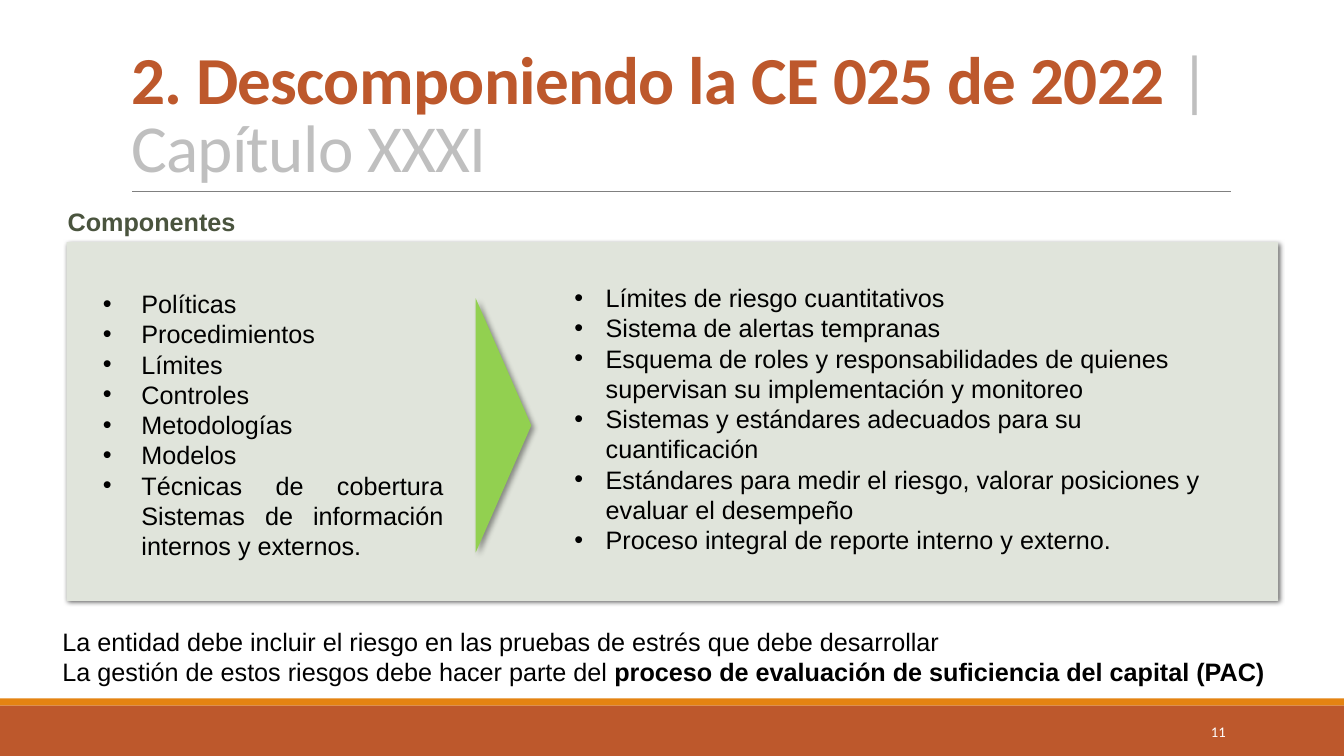
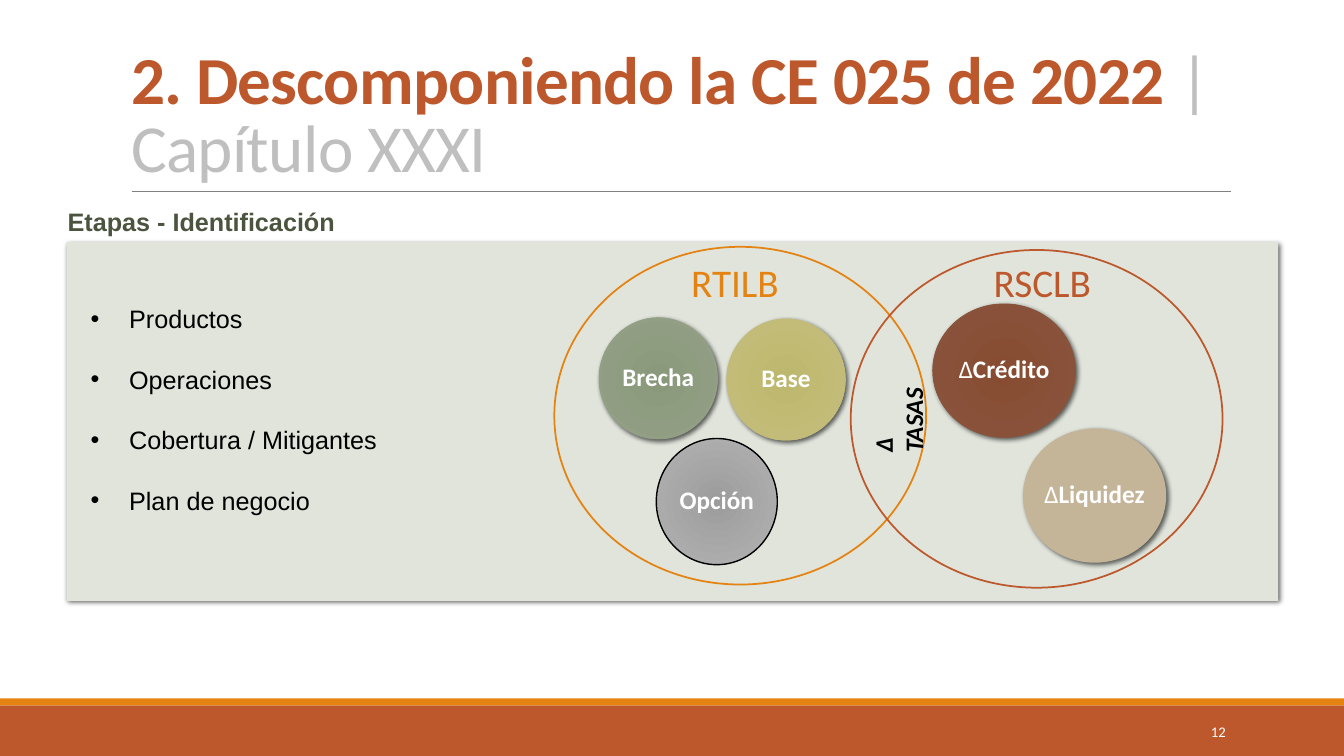
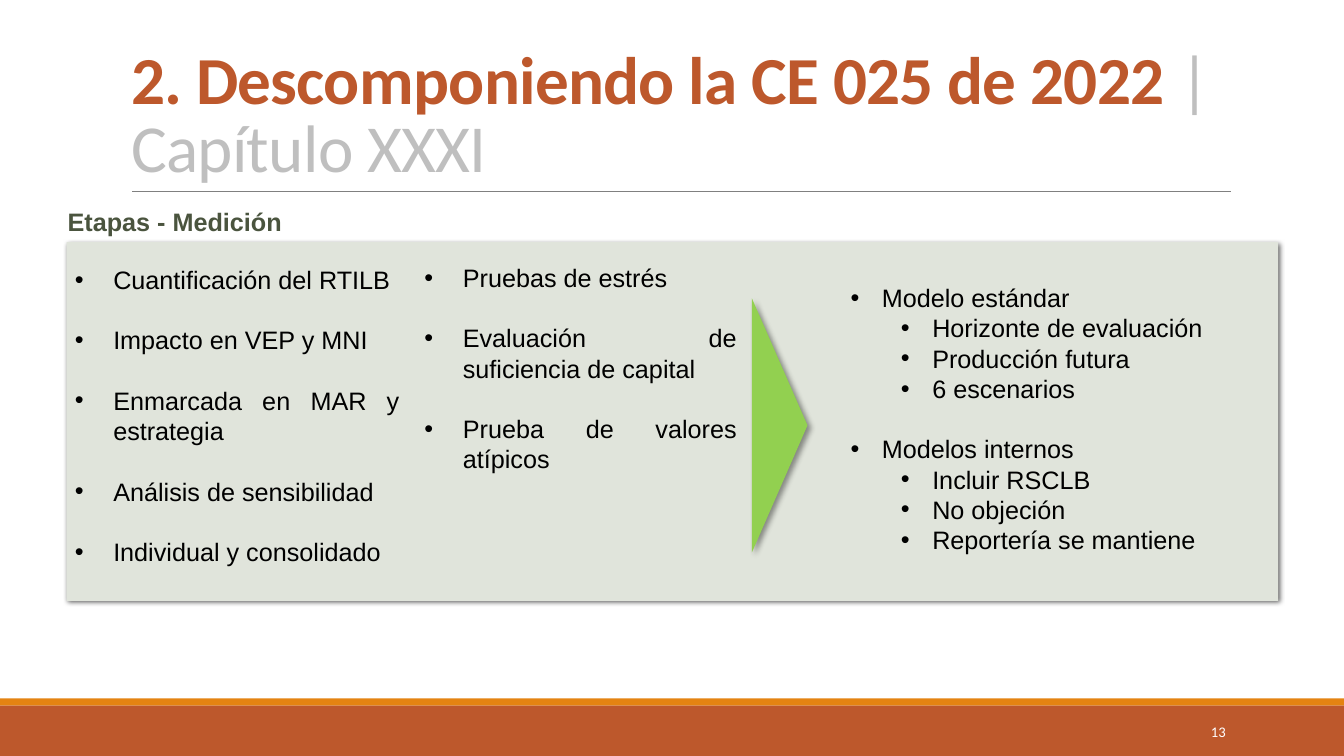
from lxml.etree import SubElement
from pptx import Presentation
from pptx.dml.color import RGBColor
from pptx.enum.shapes import MSO_CONNECTOR, MSO_SHAPE
from pptx.enum.text import MSO_ANCHOR, MSO_AUTO_SIZE, PP_ALIGN
from pptx.oxml import parse_xml
from pptx.oxml.ns import nsdecls, qn
from pptx.util import Cm, Pt

COLORS = {
    "rust": "BD582C",
    "orange": "E48312",
    "rule": "808080",
    "subtitle": "BFBFBF",
    "panel": "E0E4DB",
    "heading": "4A543E",
    "arrow": "92D050",
    "black": "000000",
    "white": "FFFFFF",
    "sage": "8A987B",
    "sage_edge": "94A187",
    "olive": "BEB76E",
    "olive_edge": "C5BF7D",
    "gray": "9C9C9C",
    "gray_edge": "B4B4B4",
    "brown": "874C32",
    "brown_edge": "8A553D",
    "sand": "C5B598",
}
LINE = Pt(21.6)
HEADING, FIRST_LIST, SECOND_LIST, THIRD_LIST = 1, 2, 3, 4


def color(name):
    """Return the named colour."""
    return RGBColor.from_string(COLORS[name])


def place(shape, left, top, width, height):
    """Set position and size in centimetres."""
    shape.left, shape.top = Cm(left), Cm(top)
    shape.width, shape.height = Cm(width), Cm(height)


def format_run(run, size, color_name, font="Arial", bold=False):
    """Format one run of text."""
    run.font.size = Pt(size)
    run.font.name = font
    run.font.bold = bold
    run.font.color.rgb = color(color_name)


def add_shadow(shape, alpha, blur, distance):
    """Give a shape a soft shadow towards the lower right."""
    shape.element.spPr.append(parse_xml(
        f'<a:effectLst {nsdecls("a")}><a:outerShdw blurRad="{Pt(blur)}" dist="{Pt(distance)}" '
        f'dir="2700000" algn="tl" rotWithShape="0"><a:srgbClr val="{COLORS["black"]}">'
        f'<a:alpha val="{alpha * 1000}"/></a:srgbClr></a:outerShdw></a:effectLst>'))


def add_box(slide, kind, bounds, fill=None, line=None, line_width=1.25, shadow=None):
    """Add a preset shape with the given fill, line and shadow."""
    shape = slide.shapes.add_shape(kind, *map(Cm, bounds))
    if fill:
        shape.fill.solid()
        shape.fill.fore_color.rgb = color(fill)
    else:
        shape.fill.background()
    if line:
        shape.line.color.rgb = color(line)
        shape.line.width = Pt(line_width)
    else:
        shape.line.fill.background()
    if shadow:
        add_shadow(shape, *shadow)
    else:
        shape.shadow.inherit = False
    return shape


def add_label(slide, bounds, text, size, color_name, bold=False):
    """Add a Calibri text box with one run."""
    box = slide.shapes.add_textbox(*map(Cm, bounds))
    box.text_frame.word_wrap = True
    paragraph = box.text_frame.paragraphs[0]
    paragraph.text = text
    format_run(paragraph.runs[0], size, color_name, "Calibri", bold)
    return box


def decorate_layout(layout, slide):
    """Put the shared bands, rule, panel and placeholder positions on the layout."""
    for placeholder in list(layout.placeholders):
        if placeholder.placeholder_format.idx >= 10:
            layout.shapes.element.remove(placeholder.element)
    place(layout.placeholders[0], 3.05, 0.79, 27.94, 4.04)
    place(layout.placeholders[1], 1.45, 5.08, 10, 1.02)
    rule = slide.shapes.add_connector(
        MSO_CONNECTOR.STRAIGHT, Cm(3.33), Cm(4.83), Cm(31.01), Cm(4.83))
    rule.line.color.rgb = color("rule")
    rule.line.width = Pt(0.5)
    SubElement(rule.element.spPr, qn("a:effectLst"))
    shared = [
        add_box(slide, MSO_SHAPE.RECTANGLE, (0, 17.78, 33.87, 1.27), "rust"),
        add_box(slide, MSO_SHAPE.RECTANGLE, (0, 17.6, 33.87, 0.18), "orange"),
        add_box(slide, MSO_SHAPE.RECTANGLE, (1.68, 6.1, 30.53, 9.04), "panel",
                shadow=(60, 3.5, 2)),
        rule,
    ]
    for shape in shared:
        layout.shapes.element.insert(2, shape.element)


def prepare_frame(shape, anchor=MSO_ANCHOR.TOP):
    """Return the text frame of a placeholder with wrapping and anchor set."""
    frame = shape.text_frame
    frame.auto_size = MSO_AUTO_SIZE.NONE
    frame.word_wrap = True
    frame.vertical_anchor = anchor
    return frame


def fill_header(slide, heading, number):
    """Write the title, the section heading and the slide number."""
    paragraph = prepare_frame(slide.shapes.title, MSO_ANCHOR.BOTTOM).paragraphs[0]
    paragraph.alignment = PP_ALIGN.LEFT
    paragraph.line_spacing = 0.85
    for text, color_name, bold in (("2. Descomponiendo la CE 025 de 2022 ", "rust", True),
                                   ("|Capítulo XXXI", "subtitle", False)):
        run = paragraph.add_run()
        run.text = text
        format_run(run, 48, color_name, "Calibri", bold)
        run.font._element.set("spc", "-50")
    write_paragraphs(slide.placeholders[HEADING], [[(heading, True)]], "heading")
    page = add_label(slide, (27.51, 17.93, 3.63, 1.02), str(number), 10.5, "white")
    page.text_frame.vertical_anchor = MSO_ANCHOR.MIDDLE
    page.text_frame.paragraphs[0].alignment = PP_ALIGN.RIGHT


def set_bullet(paragraph, margin, hanging):
    """Set the indent of a paragraph, with a bullet if it hangs."""
    properties = paragraph._p.get_or_add_pPr()
    properties.set("marL", str(Cm(margin)))
    properties.set("indent", str(-Cm(hanging)))
    if hanging:
        SubElement(properties, qn("a:buFont")).set("typeface", "Arial")
        SubElement(properties, qn("a:buChar")).set("char", "•")
    else:
        SubElement(properties, qn("a:buNone"))


def next_paragraph(frame, index):
    """Return the first paragraph or a new one, with the common line height."""
    paragraph = frame.add_paragraph() if index else frame.paragraphs[0]
    paragraph.line_spacing = LINE
    paragraph.space_before = Pt(0)
    paragraph.space_after = Pt(0)
    return paragraph


def write_paragraphs(shape, lines, color_name="black"):
    """Write plain lines, each a list of text and bold pairs."""
    frame = prepare_frame(shape)
    for index, pieces in enumerate(lines):
        paragraph = next_paragraph(frame, index)
        paragraph.alignment = PP_ALIGN.LEFT
        set_bullet(paragraph, 0, 0)
        for text, bold in pieces:
            run = paragraph.add_run()
            run.text = text
            format_run(run, 18, color_name, bold=bold)


def fill_list(slide, index, bounds, items, hanging=0.97, justified=True, spaced=False):
    """Write a bulleted list of texts, or of groups of a text and its subitems."""
    shape = slide.placeholders[index]
    place(shape, *bounds)
    frame = prepare_frame(shape)
    entries = []
    for item in items:
        head, *subitems = [item] if isinstance(item, str) else item
        entries += [(head, 0)] + [(subitem, 1) for subitem in subitems]
    for position, (text, level) in enumerate(entries):
        paragraph = next_paragraph(frame, position)
        paragraph.text = text
        paragraph.level = level
        paragraph.alignment = PP_ALIGN.JUSTIFY if justified else PP_ALIGN.LEFT
        if spaced and position and level == 0:
            paragraph.space_before = LINE
        set_bullet(paragraph, hanging + 1.27 * level, hanging)
        format_run(paragraph.runs[0], 18, "black")


def add_arrow(slide, left):
    """Add the green arrowhead between two lists."""
    arrow = add_box(slide, MSO_SHAPE.RIGHT_ARROW, (left, 7.52, 1.4, 6.4), "arrow",
                    shadow=(40, 4, 3))
    arrow.adjustments[0] = arrow.adjustments[1] = 1


def set_radial_fill(shape, center, edge):
    """Replace the fill by a gradient from the centre to the edge."""
    properties = shape.element.spPr
    solid = properties.find(qn("a:solidFill"))
    properties.replace(solid, parse_xml(
        f'<a:gradFill {nsdecls("a")} rotWithShape="1"><a:gsLst>'
        f'<a:gs pos="0"><a:srgbClr val="{COLORS[center]}"/></a:gs>'
        f'<a:gs pos="100000"><a:srgbClr val="{COLORS[edge]}"/></a:gs></a:gsLst>'
        '<a:path path="circle"><a:fillToRect l="50000" t="50000" r="50000" b="50000"/></a:path>'
        '</a:gradFill>'))


def add_risk(slide, bounds, pieces, fill, edge=None, line=None):
    """Add a filled circle that names one risk."""
    circle = add_box(slide, MSO_SHAPE.OVAL, bounds, fill, line, 1,
                     None if line else (60, 3.5, 2))
    if edge:
        set_radial_fill(circle, fill, edge)
    frame = circle.text_frame
    frame.word_wrap = False
    frame.vertical_anchor = MSO_ANCHOR.MIDDLE
    frame.margin_left = frame.margin_right = frame.margin_top = frame.margin_bottom = 0
    paragraph = frame.paragraphs[0]
    paragraph.alignment = PP_ALIGN.CENTER
    paragraph.line_spacing = 0.9
    for text, bold in pieces:
        run = paragraph.add_run()
        run.text = text
        format_run(run, 18, "white", "Calibri", bold)


def add_risk_diagram(slide):
    """Draw the two overlapping risk families and their risks."""
    add_risk(slide, (15.09, 8, 3, 3.07), [("Brecha", True)], "sage", "sage_edge")
    add_risk(slide, (18.31, 8.03, 3, 3.07), [("Base", True)], "olive", "olive_edge")
    add_risk(slide, (16.54, 11.05, 3.05, 3.18), [("Opción", True)], "gray", "gray_edge", "black")
    for left, top, label_left, text, color_name in ((13.97, 6.22, 17.17, "RTILB", "orange"),
                                                    (21.44, 6.3, 24.79, "RSCLB", "rust")):
        add_box(slide, MSO_SHAPE.OVAL, (left, top, 9.37, 8.51), line=color_name)
        add_label(slide, (label_left, 6.38, 3, 1.45), text, 28, color_name)
    add_risk(slide, (23.5, 7.65, 3.61, 3.38), [("∆", False), ("Crédito", True)],
             "brown", "brown_edge")
    add_risk(slide, (25.78, 10.8, 3.61, 3.38), [("∆", False), ("Liquidez", True)], "sand")
    rates = add_label(slide, (21.74, 9.09, 1.27, 2.57), "∆ TASAS", 18, "black", True)
    rates.text_frame.paragraphs[0].runs[0].font.italic = True
    rates.element.txBody.bodyPr.set("vert", "vert270")


def remove_empty_placeholders(slide):
    """Remove the placeholders that hold no text."""
    for placeholder in list(slide.placeholders):
        if not placeholder.text_frame.text:
            slide.shapes.element.remove(placeholder.element)


def build_components(slide):
    """Fill the slide on components."""
    fill_list(slide, FIRST_LIST, (2.34, 7.14, 9.09, 7.19), [
        "Políticas", "Procedimientos", "Límites", "Controles", "Metodologías", "Modelos",
        "Técnicas de cobertura Sistemas de información internos y externos."])
    fill_list(slide, SECOND_LIST, (14.22, 6.99, 17.32, 7.19), [
        "Límites de riesgo cuantitativos",
        "Sistema de alertas tempranas",
        "Esquema de roles y responsabilidades de quienes supervisan su implementación y monitoreo",
        "Sistemas y estándares adecuados para su cuantificación",
        "Estándares para medir el riesgo, valorar posiciones y evaluar el desempeño",
        "Proceso integral de reporte interno y externo."], 0.79, False)
    note = slide.placeholders[THIRD_LIST]
    place(note, 1.32, 15.65, 31, 1.8)
    write_paragraphs(note, [
        [("La entidad debe incluir el riesgo en las pruebas de estrés que debe desarrollar", False)],
        [("La gestión de estos riesgos debe hacer parte del ", False),
         ("proceso de evaluación de suficiencia del capital (PAC)", True)]])
    add_arrow(slide, 11.99)


def build_identification(slide):
    """Fill the slide on identification."""
    fill_list(slide, FIRST_LIST, (2.03, 7.52, 9.09, 5.64), [
        "Productos", "Operaciones", "Cobertura / Mitigantes", "Plan de negocio"], spaced=True)
    add_risk_diagram(slide)


def build_measurement(slide):
    """Fill the slide on measurement."""
    fill_list(slide, FIRST_LIST, (1.63, 6.53, 8.69, 7.95), [
        "Cuantificación del RTILB", "Impacto en VEP y MNI", "Enmarcada en MAR y estrategia",
        "Análisis de sensibilidad", "Individual y consolidado"], spaced=True)
    fill_list(slide, SECOND_LIST, (10.44, 6.48, 8.38, 5.64), [
        "Pruebas de estrés", "Evaluación de suficiencia de capital",
        "Prueba de valores atípicos"], spaced=True)
    fill_list(slide, THIRD_LIST, (21.18, 6.99, 10.8, 7.19), [
        ("Modelo estándar", "Horizonte de evaluación", "Producción futura", "6 escenarios"),
        ("Modelos internos", "Incluir RSCLB", "No objeción", "Reportería se mantiene")],
        0.79, False, True)
    add_arrow(slide, 18.95)


def main():
    """Build and save the presentation."""
    presentation = Presentation()
    presentation.slide_width, presentation.slide_height = Cm(33.87), Cm(19.05)
    layout = presentation.slide_layouts.get_by_name("Comparison")
    sections = (("Componentes", build_components),
                ("Etapas - Identificación", build_identification),
                ("Etapas - Medición", build_measurement))
    for number, (heading, build) in enumerate(sections, 11):
        slide = presentation.slides.add_slide(layout)
        if number == 11:
            decorate_layout(layout, slide)
        fill_header(slide, heading, number)
        build(slide)
        remove_empty_placeholders(slide)
    presentation.save("out.pptx")


if __name__ == "__main__":
    main()
